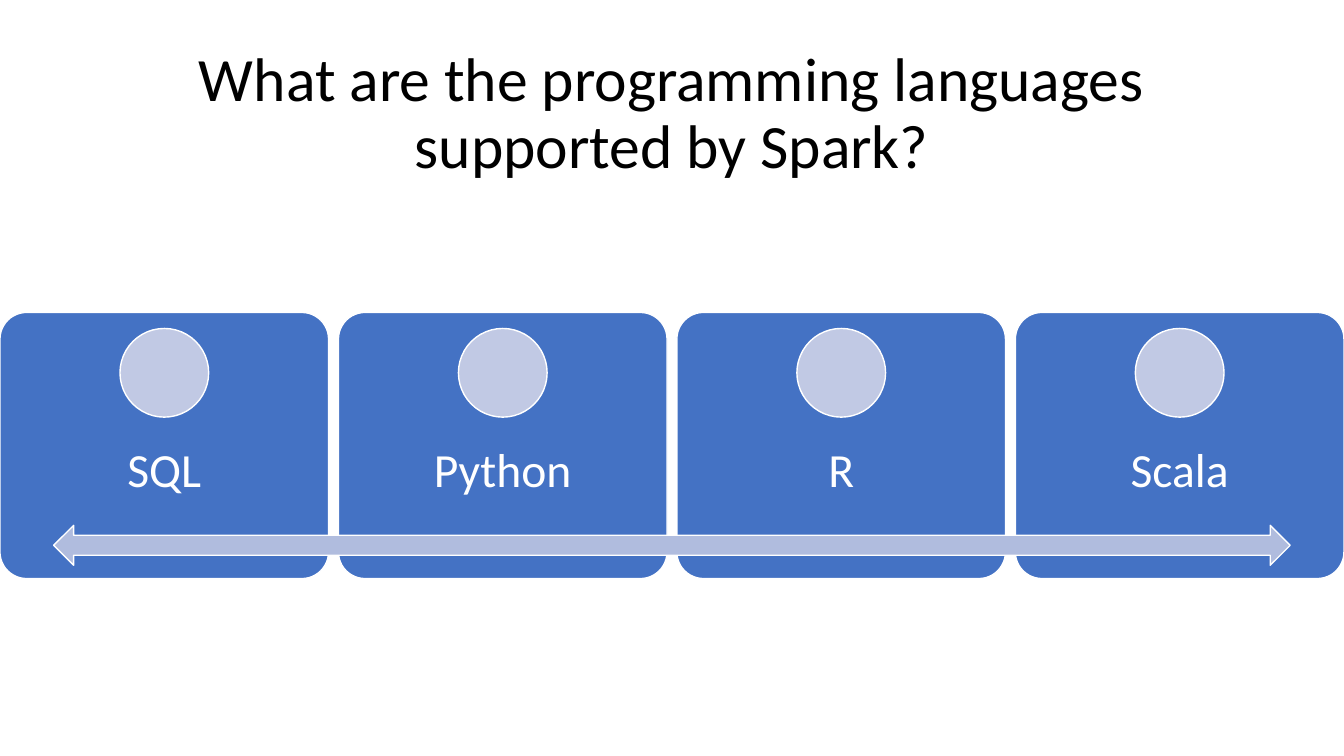
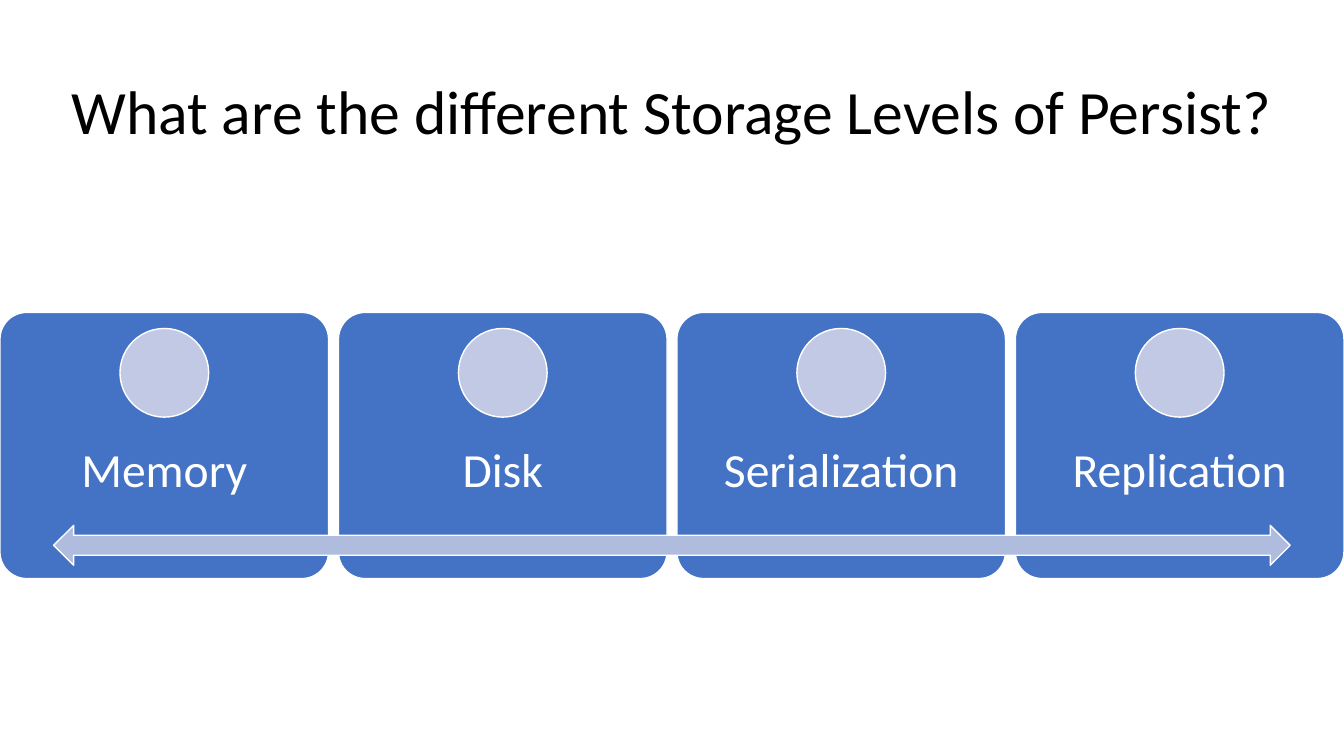
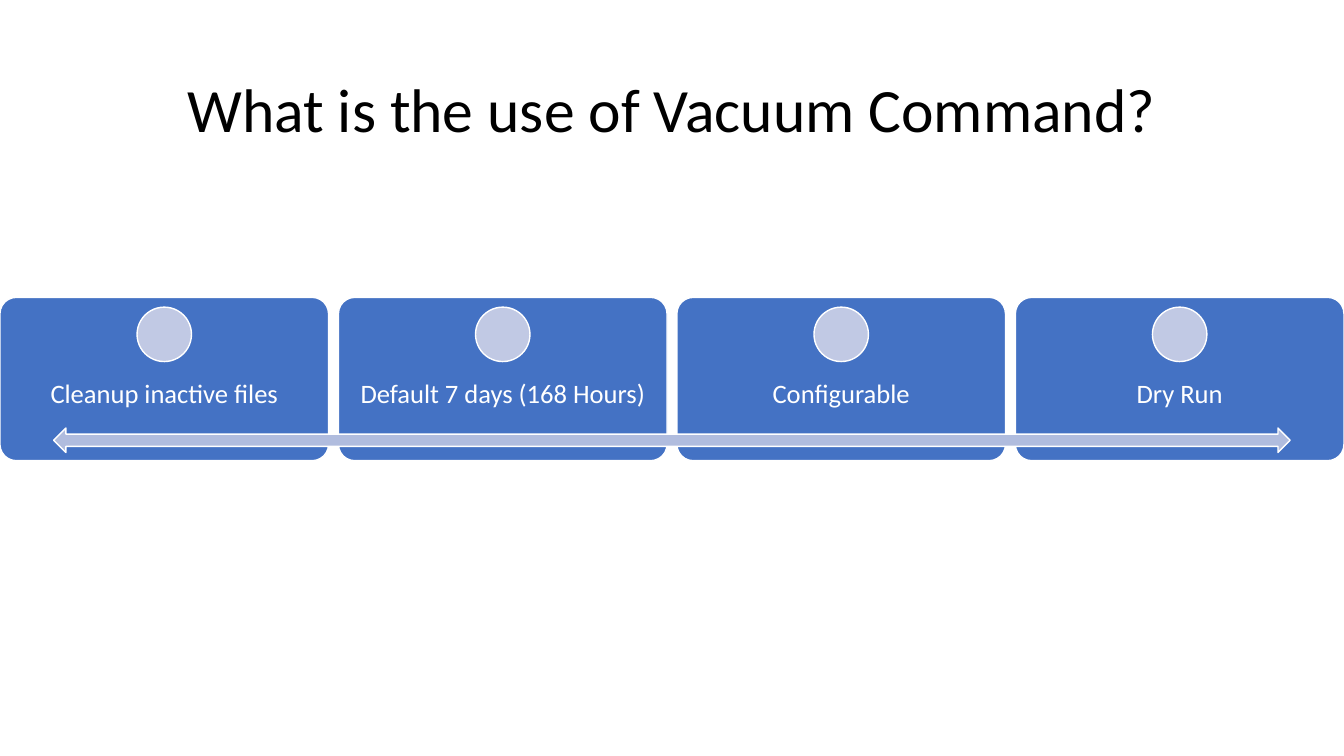
from dataclasses import dataclass

from pptx import Presentation
from pptx.dml.color import RGBColor
from pptx.enum.shapes import MSO_SHAPE
from pptx.enum.text import MSO_ANCHOR, PP_ALIGN
from pptx.shapes.autoshape import Shape
from pptx.slide import Slide
from pptx.util import Inches, Pt

CARD = MSO_SHAPE.ROUNDED_RECTANGLE
DOT = MSO_SHAPE.OVAL
ARROW = MSO_SHAPE.LEFT_RIGHT_ARROW
MIDDLE = MSO_ANCHOR.MIDDLE
CENTER = PP_ALIGN.CENTER


@dataclass(frozen=True)
class Theme:
    width: float = 13.33
    height: float = 7.5
    font: str = "Calibri"
    title_size: int = 44
    leading: float = 0.9
    ink: str = "000000"
    white: str = "FFFFFF"
    card: str = "4472C4"
    dot: str = "C1C9E4"
    arrow: str = "B0BCDE"


@dataclass(frozen=True)
class Box:
    left: float
    top: float
    width: float
    height: float

    def emu(self) -> list[int]:
        return [Inches(n) for n in (self.left, self.top, self.width, self.height)]


@dataclass(frozen=True)
class Page:
    title: str
    labels: tuple[str, ...]
    title_height: float = 2.28
    top: float = 3.1
    height: float = 2.64
    size: int = 34


THEME = Theme()
GAP = 0.03  # space between cards, as a share of card width

PAGES = (
    Page("What are the programming languages\vsupported by Spark?",
         ("SQL", "Python", "R", "Scala")),
    Page("What are the different Storage Levels of Persist?",
         ("Memory", "Disk", "Serialization", "Replication")),
    Page("What is the use of Vacuum Command?",
         ("Cleanup inactive files", "Default 7 days (168 Hours)",
          "Configurable", "Dry Run"),
         title_height=2.23, top=2.95, height=1.62, size=19),
)


def add_text(slide: Slide, box: Box, text: str, size: int, color: str,
             inset: float | None = None) -> None:
    frame = slide.shapes.add_textbox(*box.emu()).text_frame
    frame.word_wrap = True
    frame.vertical_anchor = MIDDLE
    if inset is not None:
        frame.margin_left = frame.margin_right = Inches(inset)
        frame.margin_top = frame.margin_bottom = Inches(inset)
    frame.text = text
    for para in frame.paragraphs:
        para.alignment = CENTER
        para.line_spacing = THEME.leading
        for run in para.runs:
            run.font.name = THEME.font
            run.font.size = Pt(size)
            run.font.color.rgb = RGBColor.from_string(color)


def add_form(slide: Slide, kind: MSO_SHAPE, box: Box, fill: str) -> Shape:
    form = slide.shapes.add_shape(kind, *box.emu())
    form.shadow.inherit = False
    form.fill.solid()
    form.fill.fore_color.rgb = RGBColor.from_string(fill)
    form.line.color.rgb = RGBColor.from_string(THEME.white)
    form.line.width = Pt(1)
    return form


def add_cards(slide: Slide, page: Page) -> None:
    count = len(page.labels)
    width = THEME.width / (count + (count - 1) * GAP)
    tall = page.height
    dot = tall / 3
    inset = round(page.size * 0.56 / 72, 2)

    # Card, label and dot in each column
    for col, label in enumerate(page.labels):
        left = col * width * (1 + GAP)
        card = add_form(slide, CARD, Box(left, page.top, width, tall), THEME.card)
        card.adjustments[0] = 0.1
        add_text(slide, Box(left, page.top + 0.4 * tall, width, 0.4 * tall),
                 label, page.size, THEME.white, inset)
        add_form(slide, DOT, Box(left + (width - dot) / 2,
                                 page.top + 0.06 * tall, dot, dot), THEME.dot)

    # Arrow across all cards
    add_form(slide, ARROW, Box(0.04 * THEME.width, page.top + 0.8 * tall,
                               0.92 * THEME.width, 0.15 * tall), THEME.arrow)


def main() -> None:
    deck = Presentation()
    deck.slide_width = Inches(THEME.width)
    deck.slide_height = Inches(THEME.height)
    blank = deck.slide_layouts[6]
    for page in PAGES:
        slide = deck.slides.add_slide(blank)
        add_text(slide, Box(0, 0, THEME.width, page.title_height),
                 page.title, THEME.title_size, THEME.ink)
        add_cards(slide, page)
    deck.save("out.pptx")


if __name__ == "__main__":
    main()
